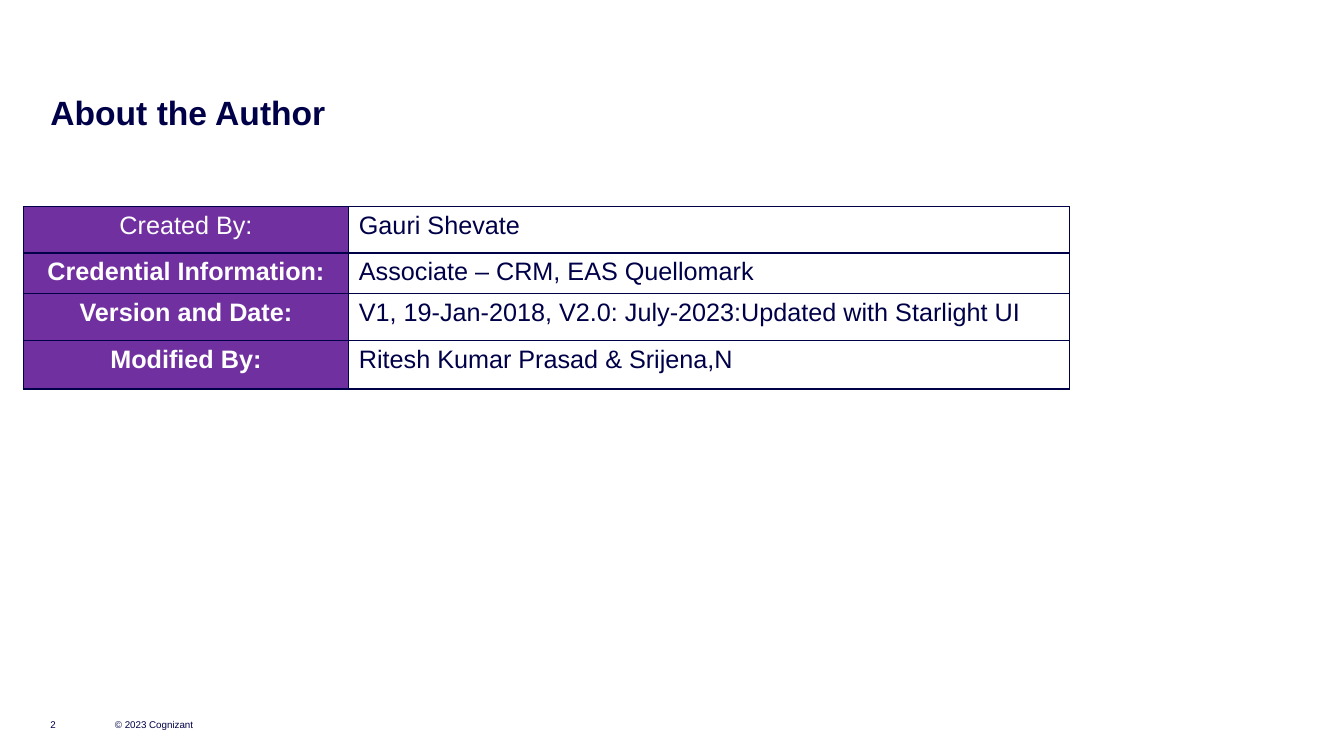
from dataclasses import dataclass
from pptx import Presentation
from pptx.dml.color import RGBColor as Rgb
from pptx.enum.text import MSO_ANCHOR as Anchor, MSO_AUTO_SIZE as Fit, PP_ALIGN as Align
from pptx.oxml import parse_xml
from pptx.oxml.ns import nsdecls
from pptx.util import Emu, Pt

SCALE = 9144
NAVY, PURPLE, WHITE = "000048", "7030A0", "FFFFFF"
LINE = 12700


@dataclass
class Row:
    label: str
    value: str
    high: int
    bold: bool = True


@dataclass
class Note:
    text: str
    left: int
    wide: int


ROWS = [
    Row("Created By:", "Gauri Shevate", 46, False),
    Row("Credential Information:", "Associate – CRM, EAS Quellomark", 39),
    Row("Version and Date:", "V1, 19-Jan-2018, V2.0: July-2023:Updated with Starlight UI", 47),
    Row("Modified By:", "Ritesh Kumar Prasad & Srijena,N", 48),
]
COLS = [323, 715]
NOTES = [Note("© 2023 Cognizant", 114, 131), Note("2", 50, 39)]


def px(num: int) -> Emu:
    return Emu(num * SCALE)


def tint(code: str) -> Rgb:
    return Rgb.from_string(code)


def put(obj, vals: dict) -> None:
    for key, val in vals.items():
        setattr(obj, key, val)


def write(frame, text: str, size: int, color: str, bold: bool = False, align=Align.LEFT) -> None:
    para = frame.paragraphs[0]
    para.alignment = align
    run = para.add_run()
    run.text = text
    put(run.font, {"name": "Arial", "size": Pt(size), "bold": bold})
    run.font.color.rgb = tint(color)


def set_frame(frame, anchor, wrap: bool, fit) -> None:
    put(frame, {"margin_left": 0, "margin_right": 0, "margin_top": 0, "margin_bottom": 0,
                "vertical_anchor": anchor, "word_wrap": wrap, "auto_size": fit})


def border(cell) -> None:
    props = cell._tc.get_or_add_tcPr()
    for side in "LRTB":
        props.append(parse_xml(
            f'<a:ln{side} {nsdecls("a")} w="{LINE}"><a:solidFill>'
            f'<a:srgbClr val="{NAVY}"/></a:solidFill></a:ln{side}>'))


def fill_cell(cell, text: str, back: str, color: str, bold: bool, align) -> None:
    border(cell)
    cell.fill.solid()
    cell.fill.fore_color.rgb = tint(back)
    write(cell.text_frame, text, 18, color, bold, align)


def add_title(slide) -> None:
    title = slide.shapes.title
    put(title, {"left": px(50), "top": px(91), "width": px(1182), "height": px(34)})
    set_frame(title.text_frame, Anchor.TOP, True, Fit.SHAPE_TO_FIT_TEXT)
    write(title.text_frame, "About the Author", 24, NAVY, True)


def add_grid(slide) -> None:
    high = sum(row.high for row in ROWS)
    grid = slide.shapes.add_table(len(ROWS), len(COLS), px(23), px(205),
                                  px(sum(COLS)), px(high)).table
    put(grid, {"first_row": False, "horz_banding": False})
    for col, wide in zip(grid.columns, COLS):
        col.width = px(wide)
    for num, row in enumerate(ROWS):
        grid.rows[num].height = px(row.high)
        fill_cell(grid.cell(num, 0), row.label, PURPLE, WHITE, row.bold, Align.CENTER)
        fill_cell(grid.cell(num, 1), row.value, WHITE, NAVY, False, Align.LEFT)


def add_note(slide, note: Note) -> None:
    box = slide.shapes.add_textbox(px(note.left), px(685), px(note.wide), px(40))
    set_frame(box.text_frame, Anchor.BOTTOM, False, Fit.NONE)
    write(box.text_frame, note.text, 7, NAVY)


def main() -> None:
    deck = Presentation()
    put(deck, {"slide_width": px(1333), "slide_height": px(750)})
    slide = deck.slides.add_slide(deck.slide_layouts[5])
    slide.background.fill.solid()
    slide.background.fill.fore_color.rgb = tint(WHITE)
    for note in NOTES:
        add_note(slide, note)
    add_title(slide)
    add_grid(slide)
    deck.save("out.pptx")


if __name__ == "__main__":
    main()
